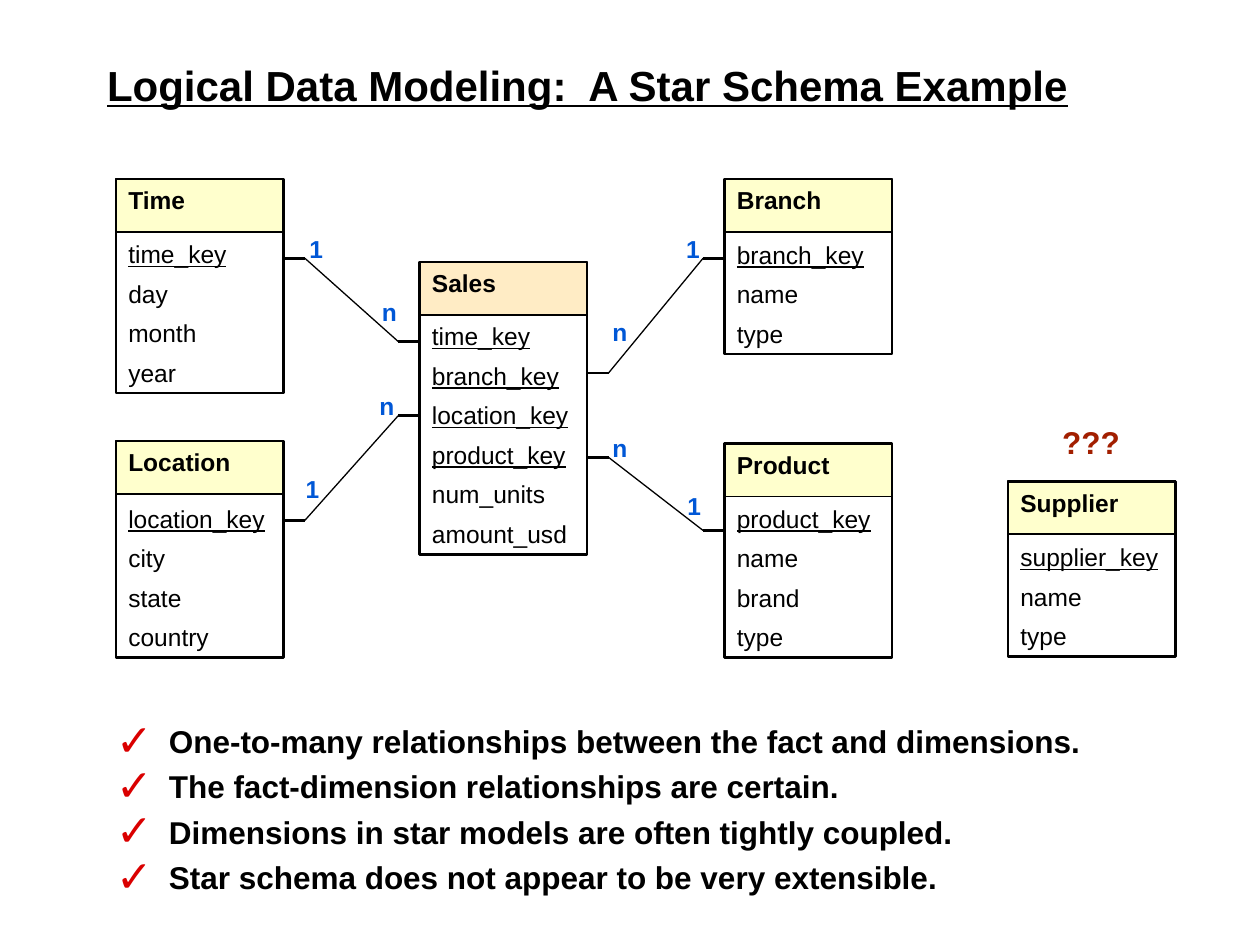
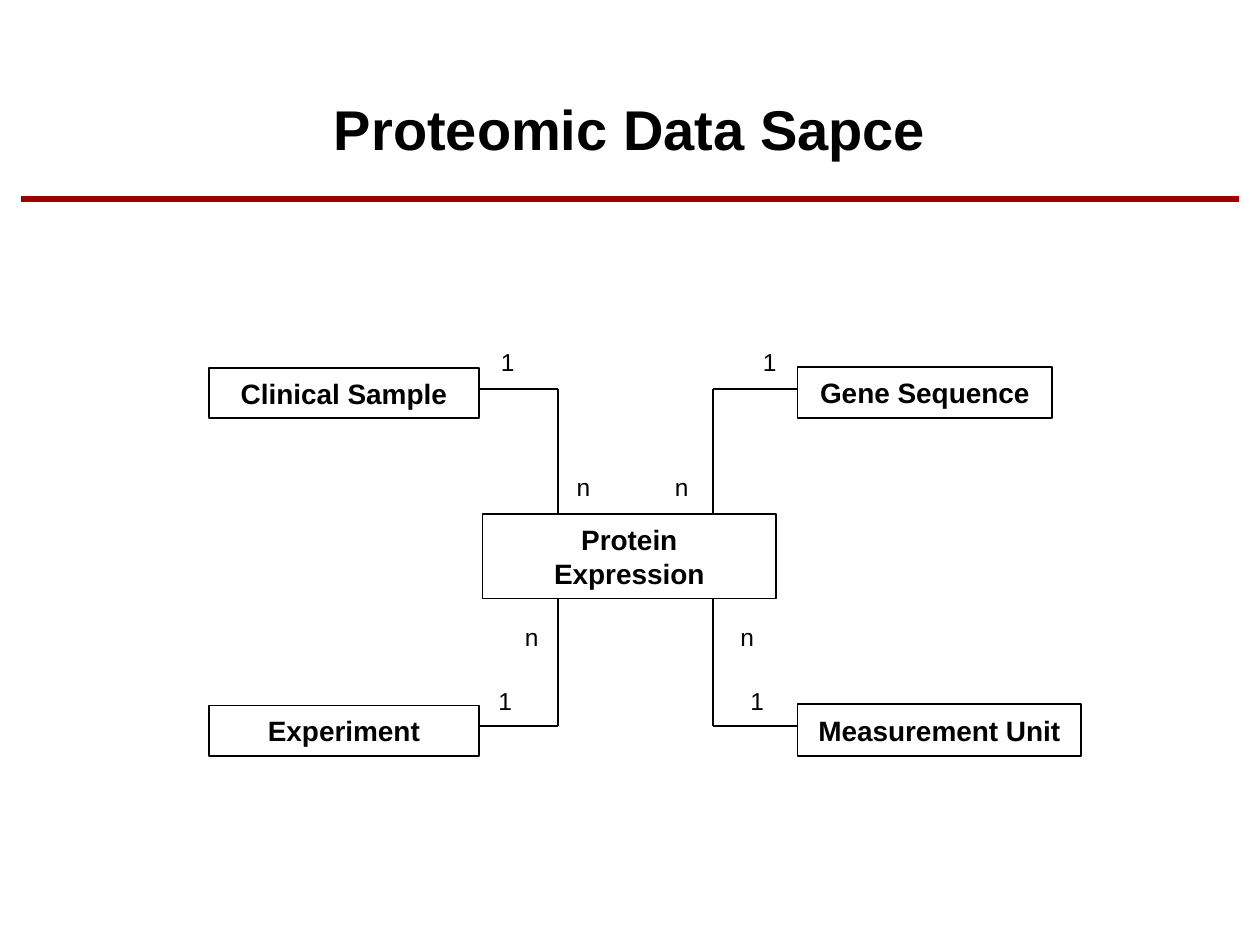
"""Build two slides: a star schema example and a proteomic data space."""
from lxml import etree
from pptx import Presentation
from pptx.dml.color import RGBColor
from pptx.enum.shapes import MSO_CONNECTOR, MSO_SHAPE
from pptx.enum.text import MSO_ANCHOR, MSO_AUTO_SIZE, PP_ALIGN
from pptx.oxml.ns import qn
from pptx.util import Inches, Pt

RECTANGLE, STRAIGHT = MSO_SHAPE.RECTANGLE, MSO_CONNECTOR.STRAIGHT
LEFT, CENTER = PP_ALIGN.LEFT, PP_ALIGN.CENTER
TOP, MIDDLE, BOTTOM = MSO_ANCHOR.TOP, MSO_ANCHOR.MIDDLE, MSO_ANCHOR.BOTTOM
NO_AUTOFIT = MSO_AUTO_SIZE.NONE

FONT = "Arial"
BLACK = RGBColor(0x00, 0x00, 0x00)
WHITE = RGBColor(0xFF, 0xFF, 0xFF)
DIMENSION_YELLOW = RGBColor(0xFF, 0xFF, 0xCD)
FACT_ORANGE = RGBColor(0xFF, 0xEC, 0xC5)
CARDINALITY_BLUE = RGBColor(0x00, 0x57, 0xD6)
QUESTION_RED = RGBColor(0xA2, 0x1F, 0x00)
CHECK_RED = RGBColor(0xDA, 0x00, 0x00)
RULE_RED = RGBColor(0x9E, 0x00, 0x00)

STAR_TITLE = "Logical Data Modeling:  A Star Schema Example"
COLUMNS = (0.92, 3.33, 5.75, 8.0)
ENTITY_WIDTH, HEADER_HEIGHT = 1.33, 0.42
ENTITY_BASE, FIELD_HEIGHT = 0.46, 0.31
STUB = 0.17

# name, column, top, extra height, header colour, fields
ENTITIES = [
    ("Time", 0, 1.42, 0, DIMENSION_YELLOW, ["time_key", "day", "month", "year"]),
    ("Location", 0, 3.5, 0.02, DIMENSION_YELLOW,
     ["location_key", "city", "state", "country"]),
    ("Sales", 1, 2.08, 0, FACT_ORANGE,
     ["time_key", "branch_key", "location_key", "product_key",
      "num_units", "amount_usd"]),
    ("Branch", 2, 1.42, 0, DIMENSION_YELLOW, ["branch_key", "name", "type"]),
    ("Product", 2, 3.52, 0, DIMENSION_YELLOW,
     ["product_key", "name", "brand", "type"]),
    ("Supplier", 3, 3.82, 0, DIMENSION_YELLOW, ["supplier_key", "name", "type"]),
]
# left column, y at its right edge, y at the left edge of the next column
RELATIONSHIPS = [(0, 2.05, 2.71), (0, 4.13, 3.3), (1, 2.96, 2.05), (1, 3.63, 4.21)]
STAR_CARDINALITIES = [
    ("1", 2.51, 1.97), ("n", 3.09, 2.47), ("1", 2.48, 3.88), ("n", 3.07, 3.22),
    ("1", 5.5, 1.97), ("n", 4.92, 2.63), ("1", 5.51, 4.01), ("n", 4.92, 3.55),
]
FINDINGS = [
    "One-to-many relationships between the fact and dimensions.",
    "The fact-dimension relationships are certain.",
    "Dimensions in star models are often tightly coupled.",
    "Star schema does not appear to be very extensible.",
]

SPACE_TITLE = "Proteomic Data Sapce"
HUB = ("Protein\nExpression", 3.83, 4.08, 2.33, 0.67)
SATELLITES = [
    ("Clinical Sample", 1.66, 2.92, 2.14, 0.4),
    ("Gene Sequence", 6.33, 2.91, 2.02, 0.41),
    ("Experiment", 1.66, 5.6, 2.14, 0.4),
    ("Measurement Unit", 6.33, 5.59, 2.25, 0.41),
]
# trunk x, satellite edge x
BRANCHES = [(4.43, 3.8), (5.66, 6.33)]
# link y, hub edge y
LEVELS = [(3.09, 4.08), (5.76, 4.75)]
SPACE_CARDINALITIES = [
    ("1", 4.03, 2.87), ("1", 6.11, 2.87), ("n", 4.63, 3.86), ("n", 5.41, 3.86),
    ("n", 4.22, 5.05), ("n", 5.93, 5.05), ("1", 4.01, 5.56), ("1", 6.01, 5.56),
]


def place(shape, left, top, width, height):
    shape.left, shape.top = Inches(left), Inches(top)
    shape.width, shape.height = Inches(width), Inches(height)


def write(shape, text, size, color=BLACK, bold=True, align=LEFT, anchor=TOP):
    frame = shape.text_frame
    frame.text = text
    frame.word_wrap = True
    frame.auto_size = NO_AUTOFIT
    frame.vertical_anchor = anchor
    for paragraph in frame.paragraphs:
        paragraph.alignment = align
        font = paragraph.font
        font.name, font.size, font.bold = FONT, Pt(size), bold
        font.color.rgb = color
    return frame


def add_title(slide, text, box, size, align):
    title = slide.shapes.title
    place(title, *box)
    return write(title, text, size, align=align)


def add_box(slide, left, top, width, height, fill, line_width):
    box = slide.shapes.add_shape(RECTANGLE, Inches(left), Inches(top),
                                 Inches(width), Inches(height))
    box.shadow.inherit = False
    if fill is None:
        box.fill.background()
    else:
        box.fill.solid()
        box.fill.fore_color.rgb = fill
    box.line.color.rgb = BLACK
    box.line.width = Pt(line_width)
    return box


def add_line(slide, start, end, width, color=BLACK):
    line = slide.shapes.add_connector(
        STRAIGHT, *(Inches(value) for value in (*start, *end)))
    line.line.color.rgb = color
    line.line.width = Pt(width)
    etree.SubElement(line._element.spPr, qn("a:effectLst"))


def add_label(slide, text, center_x, center_y, size=14, color=BLACK, bold=True):
    width, height = 0.8, 0.4
    label = slide.shapes.add_textbox(
        Inches(center_x - width / 2), Inches(center_y - height / 2),
        Inches(width), Inches(height))
    write(label, text, size, color, bold, CENTER, MIDDLE)


def add_entity(slide, name, column, top, extra, color, fields):
    left = COLUMNS[column]
    height = ENTITY_BASE + FIELD_HEIGHT * len(fields) + extra
    header = add_box(slide, left, top, ENTITY_WIDTH, HEADER_HEIGHT, color, 1)
    write(header, name, 14)
    outline = add_box(slide, left, top, ENTITY_WIDTH, height, None, 1.5)
    frame = write(outline, "\n".join(fields), 14, bold=False, anchor=BOTTOM)
    for index, paragraph in enumerate(frame.paragraphs):
        paragraph.line_spacing = 0.8
        paragraph.space_before = Pt(9.2 if index else 0)
        paragraph.font.underline = paragraph.text.endswith("_key")


def add_relationship(slide, column, left_y, right_y):
    left = COLUMNS[column] + ENTITY_WIDTH
    right = COLUMNS[column + 1]
    bend_left, bend_right = (left + STUB, left_y), (right - STUB, right_y)
    add_line(slide, (left, left_y), bend_left, 1.5)
    add_line(slide, bend_left, bend_right, 0.75)
    add_line(slide, bend_right, (right, right_y), 1.5)


def add_check(paragraph):
    properties = paragraph._p.get_or_add_pPr()
    indent = Inches(0.42)
    properties.set("marL", str(indent))
    properties.set("indent", str(-indent))
    color = etree.SubElement(properties, qn("a:buClr"))
    etree.SubElement(color, qn("a:srgbClr"), val=str(CHECK_RED))
    etree.SubElement(properties, qn("a:buSzPct"), val="140000")
    etree.SubElement(properties, qn("a:buFont"), typeface=FONT)
    etree.SubElement(properties, qn("a:buChar"), char="✓")


def add_findings(slide):
    body = slide.placeholders[1]
    place(body, 0.82, 5.62, 7.93, 1.54)
    body.text_frame.text = "\n".join(FINDINGS)
    body.text_frame.auto_size = NO_AUTOFIT
    body.text_frame.vertical_anchor = TOP
    for paragraph in body.text_frame.paragraphs:
        add_check(paragraph)
        paragraph.line_spacing = Pt(25.9)
        paragraph.space_before = Pt(0)
        font = paragraph.font
        font.name, font.size, font.bold = FONT, Pt(18), True
        font.color.rgb = BLACK


def build_star_schema(presentation):
    slide = presentation.slides.add_slide(presentation.slide_layouts[1])
    frame = add_title(slide, STAR_TITLE, (0.75, 0.42, 8.5, 0.5), 24, LEFT)
    frame.paragraphs[0].font.underline = True
    for entity in ENTITIES:
        add_entity(slide, *entity)
    for relationship in RELATIONSHIPS:
        add_relationship(slide, *relationship)
    for cardinality in STAR_CARDINALITIES:
        add_label(slide, *cardinality, color=CARDINALITY_BLUE)
    add_label(slide, "???", 8.66, 3.51, 18, QUESTION_RED)
    add_findings(slide)


def build_data_space(presentation):
    slide = presentation.slides.add_slide(presentation.slide_layouts[5])
    add_title(slide, SPACE_TITLE, (0.25, 0.7, 9.5, 0.64), 32, CENTER)
    add_line(slide, (0.17, 1.58), (9.83, 1.58), 3, RULE_RED)
    for trunk_x, satellite_x in BRANCHES:
        for link_y, hub_y in LEVELS:
            add_line(slide, (trunk_x, hub_y), (trunk_x, link_y), 1)
            add_line(slide, (trunk_x, link_y), (satellite_x, link_y), 1)
    for text, *box in [HUB, *SATELLITES]:
        write(add_box(slide, *box, WHITE, 1), text, 16, align=CENTER, anchor=MIDDLE)
    for cardinality in SPACE_CARDINALITIES:
        add_label(slide, *cardinality, bold=False)


def main():
    presentation = Presentation()
    presentation.slide_width, presentation.slide_height = Inches(10), Inches(7.5)
    build_star_schema(presentation)
    build_data_space(presentation)
    presentation.save("out.pptx")


if __name__ == "__main__":
    main()
